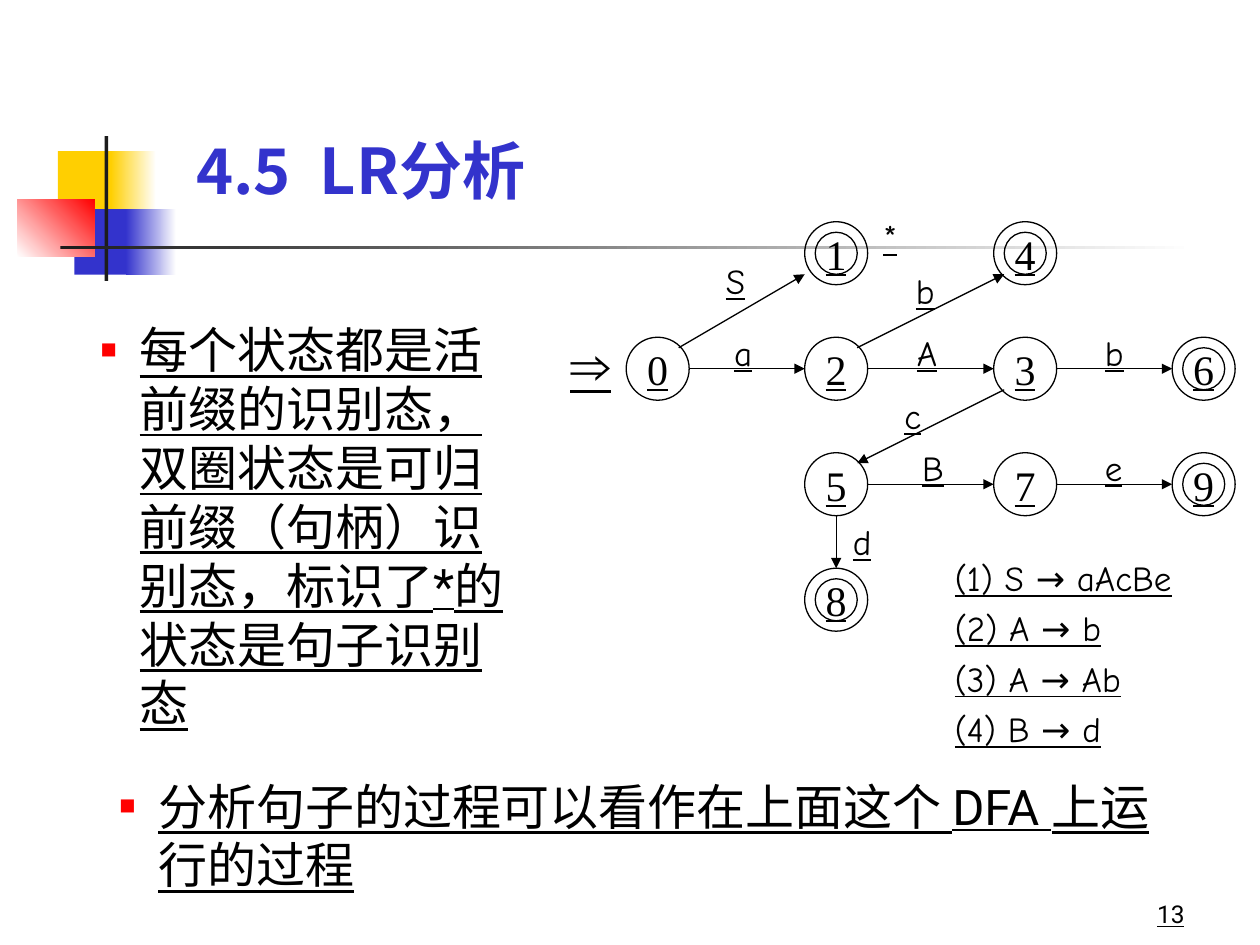
from lxml.etree import SubElement
from pptx import Presentation
from pptx.dml.color import RGBColor
from pptx.enum.shapes import MSO_CONNECTOR, MSO_SHAPE
from pptx.enum.text import MSO_ANCHOR, MSO_AUTO_SIZE, PP_ALIGN
from pptx.oxml.ns import qn
from pptx.util import Inches, Pt

WIDTH, HEIGHT = 10, 7.5
COLORS = {"black": "000000", "white": "FFFFFF", "ink": "1C1C1C",
          "yellow": "FFCF01", "blue": "3333CC", "red": "FF0000"}
CJK_FONT = "Noto Sans CJK SC"

# The automaton sits on a grid of twelve steps to the inch
STEP = 1 / 12
GRID_LEFT, GRID_TOP = 4.97, 1.76
COLUMNS = (0, 17, 35, 52)
ROW_STEP = 11
STATE_SIZE = 6

# State: (column, row, double circle)
STATES = {"0": (0, 1, False), "1": (1, 0, True), "4": (2, 0, True),
          "2": (1, 1, False), "3": (2, 1, False), "5": (1, 2, False),
          "7": (2, 2, False), "6": (3, 1, True), "9": (3, 2, True),
          "8": (1, 3, True)}

# Points on a state's circle, in grid steps from its corner
RIM = {"left": (0, 3), "right": (6, 3), "top": (3, 0), "bottom": (3, 6),
       "upper right": (5, 1), "lower left": (1, 5), "low left": (0, 5)}

# Transition: source, its rim point, target, its rim point, symbol, symbol's place
TRANSITIONS = [
    ("0", "right", "2", "left", "a", (9.1, 9.84)),
    ("2", "right", "3", "left", "A", (26.5, 9.84)),
    ("3", "right", "6", "left", "b", (44.4, 9.84)),
    ("5", "right", "7", "left", "B", (27, 20.8)),
    ("7", "right", "9", "left", "e", (44.4, 20.8)),
    ("0", "upper right", "1", "low left", "S", (8.3, 3)),
    ("2", "upper right", "4", "lower left", "b", (26.4, 4)),
    ("3", "lower left", "5", "upper right", "c", (25.3, 15.84)),
    ("5", "bottom", "8", "top", "d", (20.4, 27.84)),
]

# Corner decoration: box in percent of the slide, start colour, end colour, angle
DECORATION = [
    ((4.6, 16, 4.8, 6.93), "yellow", None, 0),
    ((8.8, 16, 3.6, 6.93), "yellow", "white", 0),
    ((5.9, 22.13, 4.6, 6.93), "blue", None, 0),
    ((10, 22.13, 4, 6.93), "blue", "white", 0),
    ((1.4, 21.07, 6.1, 6.13), "white", "red", 45),
    ((8.3, 14.4, 0.3, 15.33), "ink", None, 0),
    ((4.8, 26, 90, 0.4), "ink", "white", 0),
]

BODY = {"name": "Roboto", "size": Pt(28), "underline": True}
NUMBER = {"name": "Roboto", "size": Pt(14), "underline": True}
TITLE = {"name": CJK_FONT, "size": Pt(36), "bold": True}
STATE = {"name": "Times New Roman", "size": Pt(24), "underline": True}
SYMBOL = {"name": "Comic Neue", "size": Pt(20), "underline": True}
START = {"name": "Arial", "size": Pt(32), "underline": True}


def color(name):
    return RGBColor.from_string(COLORS[name])


def share(left, top, width, height):
    """Box in percent of the slide."""
    return [Inches(part * side / 100) for part, side in
            zip((left, top, width, height), (WIDTH, HEIGHT) * 2)]


def grid_point(x, y):
    return Inches(GRID_LEFT + x * STEP), Inches(GRID_TOP + y * STEP)


def grid_box(x, y, width, height):
    return (*grid_point(x, y), Inches(width * STEP), Inches(height * STEP))


def state_corner(state):
    column, row, _ = STATES[state]
    return COLUMNS[column], row * ROW_STEP


def rim_point(state, side):
    return grid_point(*(a + b for a, b in zip(state_corner(state), RIM[side])))


def write(shape, text, font, ink="black", east_asian=False, frame=None, paragraph=None):
    text_frame = shape.text_frame
    for key, value in {"word_wrap": True, **(frame or {})}.items():
        setattr(text_frame, key, value)
    line = text_frame.paragraphs[0]
    line.text = text
    for key, value in (paragraph or {}).items():
        setattr(line, key, value)
    for run in line.runs:
        for key, value in font.items():
            setattr(run.font, key, value)
        run.font.color.rgb = color(ink)
        if east_asian:
            SubElement(run.font._element, qn("a:ea"), typeface=CJK_FONT)
    return line


def add_text(slide, box, text, font, **options):
    return write(slide.shapes.add_textbox(*box), text, font, **options)


def add_bullet_text(slide, box, text):
    line = add_text(slide, box, text, BODY, east_asian=True,
                    paragraph={"level": 1, "space_before": Pt(7)})
    properties = line._p.get_or_add_pPr()
    properties.set("marL", str(Inches(0.81)))
    properties.set("indent", str(Inches(-0.31)))
    bullet_color = SubElement(properties, qn("a:buClr"))
    SubElement(bullet_color, qn("a:srgbClr"), val=COLORS["red"])
    SubElement(properties, qn("a:buSzPct"), val="55000")
    SubElement(properties, qn("a:buFont"), typeface="Arial")
    SubElement(properties, qn("a:buChar"), char="■")


def add_block(slide, box, start, end, angle):
    block = slide.shapes.add_shape(MSO_SHAPE.RECTANGLE, *share(*box))
    block.shadow.inherit = False
    block.line.fill.background()
    if end is None:
        block.fill.solid()
        block.fill.fore_color.rgb = color(start)
        return
    block.fill.gradient()
    block.fill.gradient_angle = angle
    for stop, position, name in zip(block.fill.gradient_stops, (0, 1), (start, end)):
        stop.position = position
        stop.color.rgb = color(name)


def add_circle(slide, x, y, size):
    circle = slide.shapes.add_shape(MSO_SHAPE.OVAL, *grid_box(x, y, size, size))
    circle.shadow.inherit = False
    circle.fill.background()
    circle.line.color.rgb = color("black")
    circle.line.width = Pt(0.75)
    return circle


def add_state(slide, state):
    x, y = state_corner(state)
    write(add_circle(slide, x, y, STATE_SIZE), state, STATE,
          frame={"word_wrap": False, "vertical_anchor": MSO_ANCHOR.MIDDLE},
          paragraph={"alignment": PP_ALIGN.CENTER})
    if STATES[state][2]:
        add_circle(slide, x + 1, y + 1, STATE_SIZE - 2)


def add_arrow(slide, start, end):
    arrow = slide.shapes.add_connector(MSO_CONNECTOR.STRAIGHT, *start, *end)
    arrow.line.color.rgb = color("black")
    arrow.line.width = Pt(0.75)
    SubElement(arrow.line._get_or_add_ln(), qn("a:tailEnd"), type="triangle")
    SubElement(arrow._element.spPr, qn("a:effectLst"))


def add_symbol(slide, text, place, size=(4.2, 5.25), font=SYMBOL):
    add_text(slide, grid_box(*place, *size), text, font,
             frame={"word_wrap": False, "auto_size": MSO_AUTO_SIZE.SHAPE_TO_FIT_TEXT})


def main():
    deck = Presentation()
    deck.slide_width, deck.slide_height = Inches(WIDTH), Inches(HEIGHT)
    slide = deck.slides.add_slide(deck.slide_layouts[6])

    # Decoration, page number and title
    for block in DECORATION:
        add_block(slide, *block)
    bottom = {"vertical_anchor": MSO_ANCHOR.BOTTOM}
    add_text(slide, share(74.2, 92.27, 20.8, 6.67), "13", NUMBER,
             frame=bottom, paragraph={"alignment": PP_ALIGN.RIGHT})
    add_text(slide, share(14.6, 10.13, 74.6, 12.4), "4.5  LR分析", TITLE,
             ink="blue", east_asian=True, frame=bottom)

    # Explanations
    add_bullet_text(slide, share(2, 33.2, 39.4, 45.2),
                    "每个状态都是活前缀的识别态，双圈状态是可归前缀（句柄）识别态，标识了*的状态是句子识别态")
    add_bullet_text(slide, share(3.5, 81.47, 90.6, 14.67),
                    "分析句子的过程可以看作在上面这个 DFA 上运行的过程")

    # Automaton
    for state in STATES:
        add_state(slide, state)
    for source, leave, target, enter, symbol, place in TRANSITIONS:
        add_arrow(slide, rim_point(source, leave), rim_point(target, enter))
        add_symbol(slide, symbol, place)
    add_symbol(slide, "⇒", (-6.5, 9.7), (6.6, 7.7), START)
    add_symbol(slide, "*", (23.3, -1.2), (3.7, 5.25))

    # Grammar, one rule a line
    rules = ("(1) S → aAcBe", "(2) A → b", "(3) A → Ab", "(4) B → d")
    add_text(slide, share(74.8, 57.33, 23.2, 22.67), "\v".join(rules), SYMBOL,
             paragraph={"line_spacing": 1.2, "space_before": Pt(12.5)})

    deck.save("out.pptx")


if __name__ == "__main__":
    main()
